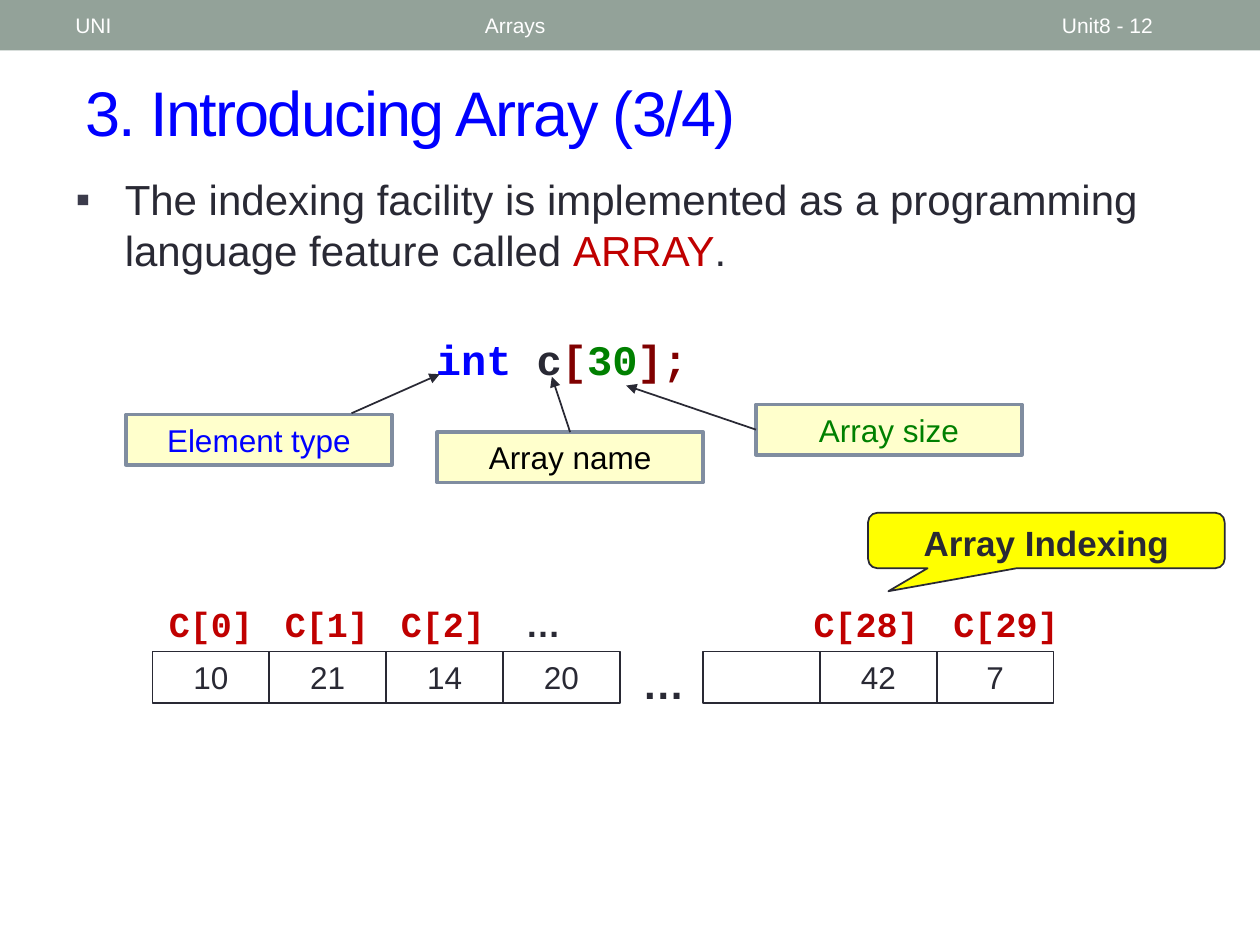
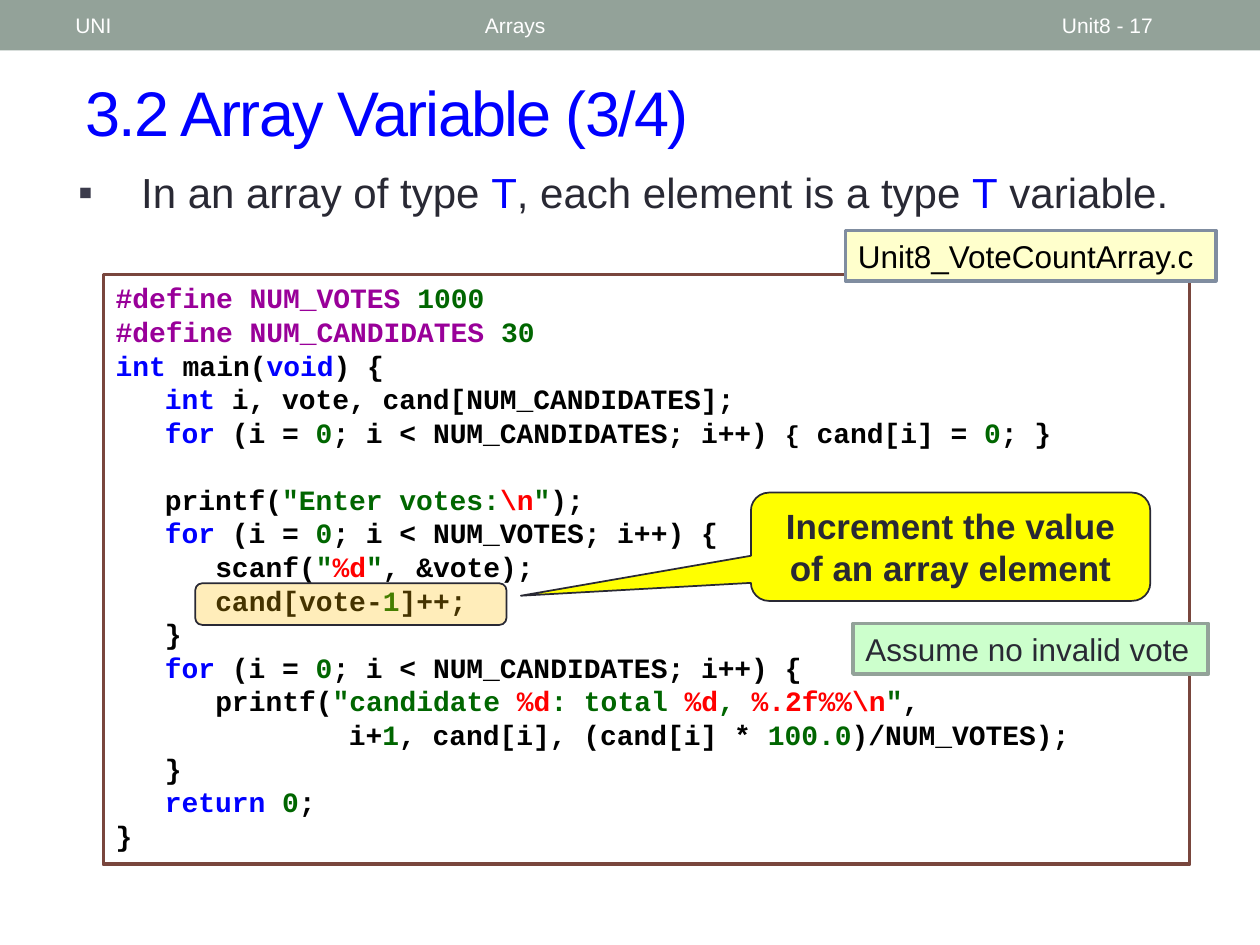
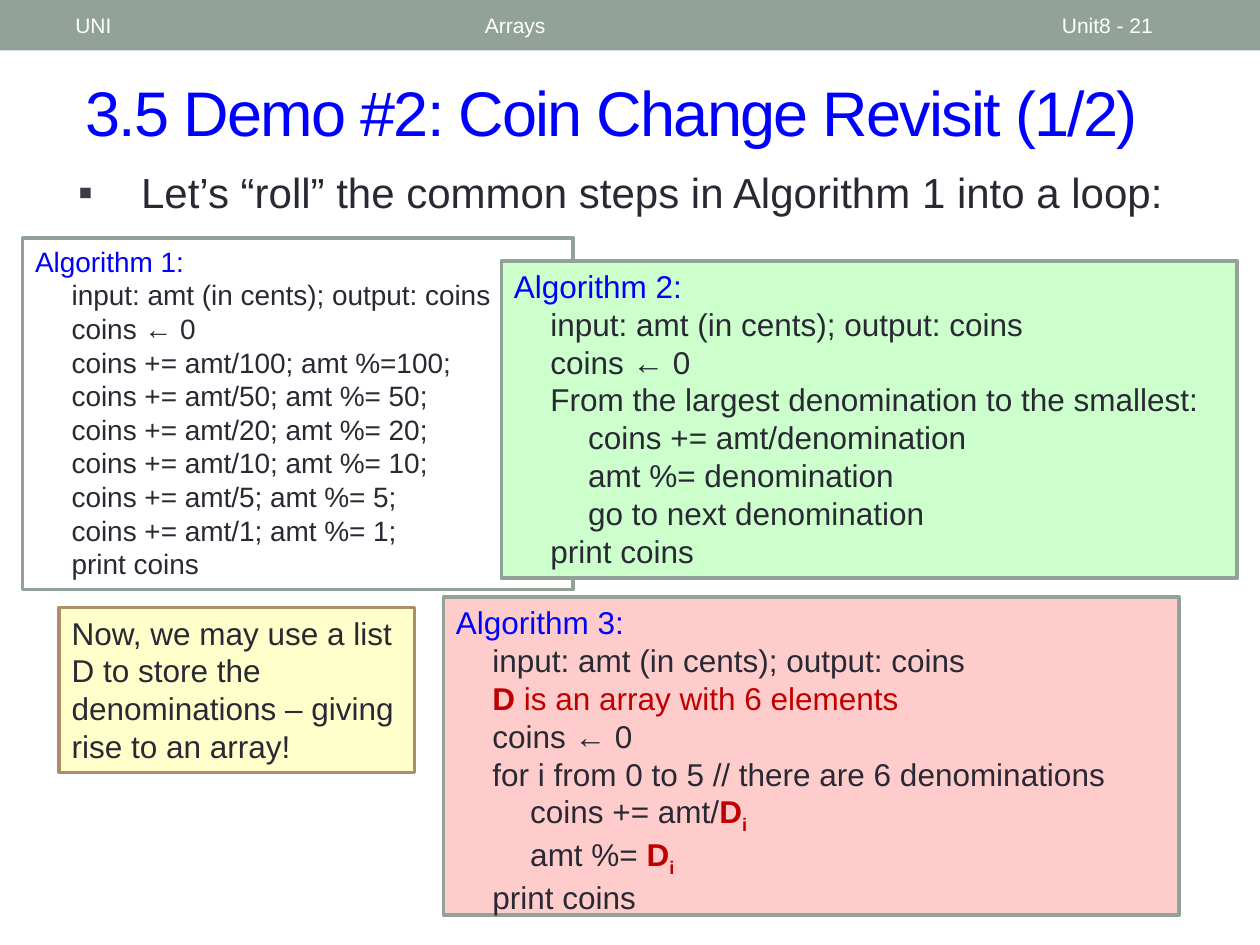
"""Build three lecture slides on arrays: declaration, array variables and coin change."""
import dataclasses

import lxml.etree
import pptx
import pptx.dml.color
import pptx.enum.shapes
import pptx.enum.text
import pptx.oxml.ns
import pptx.util


@dataclasses.dataclass(frozen=True)
class Theme:
    sans: str = "Arial"
    mono: str = "Courier New"
    ink: str = "292934"
    black: str = "000000"
    white: str = "FFFFFF"
    band: str = "93A299"
    bullet: str = "3B3B4B"
    blue: str = "0000FF"
    red: str = "C00000"
    maroon: str = "800000"
    green: str = "008000"
    literal: str = "006600"
    escape: str = "FF0000"
    macro: str = "990099"
    slate: str = "808DA0"
    brown: str = "79463D"
    tan: str = "AD8F67"
    cream: str = "FFFFCC"
    mint: str = "CCFFCC"
    rose: str = "FFCCCC"
    yellow: str = "FFFF00"
    amber: str = "FFC000"
    title_size: int = 36
    body_size: int = 24
    callout_size: int = 20
    label_size: int = 18
    code_size: int = 16
    brace_size: int = 14
    header_size: int = 12
    thick: float = 2.08
    thin: float = 1


theme = Theme()
Shape = pptx.enum.shapes.MSO_SHAPE
Align = pptx.enum.text.PP_ALIGN
Anchor = pptx.enum.text.MSO_ANCHOR
rgb = pptx.dml.color.RGBColor.from_string
qn = pptx.oxml.ns.qn

deck = pptx.Presentation()
deck.slide_width = pptx.util.Inches(10)
deck.slide_height = pptx.util.Inches(7.5)
column = deck.slide_width / 100
row = deck.slide_height / 75


def write(box, lines, size, color=theme.ink, font=theme.sans, bold=False,
          align=Align.LEFT, anchor=Anchor.TOP, steps=(0,)):
    """Fill a box with lines, each an indent level followed by its runs."""
    frame = box.text_frame
    frame.word_wrap = True
    frame.auto_size = pptx.enum.text.MSO_AUTO_SIZE.NONE
    frame.vertical_anchor = anchor
    for number, (level, *runs) in enumerate(lines):
        para = frame.add_paragraph() if number else frame.paragraphs[0]
        para.alignment = align
        if steps[level]:
            para._p.get_or_add_pPr().set("marL", str(round(steps[level] * column)))
        for run in runs:
            text, tint, style = (run, color, {}) if isinstance(run, str) else (*run, {})[:3]
            span = para.add_run()
            span.text = text
            span.font.name = font
            span.font.size = pptx.util.Pt(style.get("size", size))
            span.font.bold = style.get("bold", bold)
            span.font.color.rgb = rgb(tint)
            if "baseline" in style:
                span.font._element.set("baseline", style["baseline"])


def add_box(page, at, kind=None, fill=None, line=theme.ink, weight=theme.thin, adjust=()):
    """Add a text box, or a preset shape if a kind is given, at grid columns and rows."""
    left, top, width, height = at
    place = [round(n) for n in (left * column, top * row, width * column, height * row)]
    if kind is None:
        return page.shapes.add_textbox(*place)
    box = page.shapes.add_shape(kind, *place)
    box.shadow.inherit = False
    for index, value in enumerate(adjust):
        box.adjustments[index] = value
    if fill:
        box.fill.solid()
        box.fill.fore_color.rgb = rgb(fill)
    else:
        box.fill.background()
    if line:
        box.line.color.rgb = rgb(line)
        box.line.width = pptx.util.Pt(weight)
    else:
        box.line.fill.background()
    return box


outline = [
    ("3. Introducing Array (3/4)", "12", (5, 13.3, 87.6, 11.1), 3.9,
     ["The indexing facility is implemented as a programming language feature called ",
      ("ARRAY", theme.red), "."]),
    ("3.2 Array Variable (3/4)", "17", (5.2, 12.7, 91.4, 7.3), 5,
     ["In an array of type ", ("T", theme.blue), ", each element is a type ",
      ("T", theme.blue), " variable."]),
    ("3.5 Demo #2: Coin Change Revisit (1/2)", "21", (5.2, 12.7, 91.4, 5.7), 5,
     ["Let’s “roll” the common steps in Algorithm 1 into a loop:"]),
]
pages = []
for heading, number, body_at, hang, runs in outline:
    page = deck.slides.add_slide(deck.slide_layouts[1])
    pages.append(page)
    title, body = page.placeholders
    for holder, (left, top, width, height) in ((title, (5.8, 4.2, 91.7, 9.2)), (body, body_at)):
        holder.left, holder.width = round(left * column), round(width * column)
        holder.top, holder.height = round(top * row), round(height * row)
    write(title, [(0, heading)], theme.title_size, theme.blue, anchor=Anchor.MIDDLE)
    title.text_frame.paragraphs[0].runs[0].font._element.set("spc", "-100")

    write(body, [(0, *runs)], theme.body_size, steps=(hang,))
    para = body.text_frame.paragraphs[0]
    para.space_before = pptx.util.Pt(6)
    layout = para._p.get_or_add_pPr()
    layout.set("indent", str(round(-hang * column)))
    bullet_color = lxml.etree.SubElement(layout, qn("a:buClr"))
    lxml.etree.SubElement(bullet_color, qn("a:srgbClr"), val=theme.bullet)
    lxml.etree.SubElement(layout, qn("a:buFont"), typeface=theme.sans)
    lxml.etree.SubElement(layout, qn("a:buChar"), char="▪")

    for text, left, width in (("Arrays", 37.5, 45), ("Unit8 - " + number, 83.3, 11.7),
                              ("UNI", 5, 31.7)):
        header = add_box(page, (left, 0.2, width, 3.6))
        write(header, [(0, text)], theme.header_size, theme.white, anchor=Anchor.MIDDLE)

declaration, variable, coins = pages
band = add_box(declaration, (0, 0, 100, 4), Shape.RECTANGLE, theme.band, None)
deck.slide_master.shapes.element.insert(2, band.element)

statement = add_box(declaration, (31.6, 26, 26, 5.1))
write(statement, [(0, ("int ", theme.blue), "c", ("[", theme.maroon), ("30", theme.green),
                   ("];", theme.maroon))],
      theme.body_size, font=theme.mono, bold=True, align=Align.CENTER)

for text, color, left, top, start, end, site in (
        ("Array name", theme.black, 34.7, 34.3, (45.2, 34.3), (43.8, 29.9), 0),
        ("Element type", theme.blue, 10, 32.9, (27.9, 32.8), (34.9, 29.7), None),
        ("Array size", theme.green, 60, 32.1, (60, 34.1), (49.7, 30.6), 1)):
    label = add_box(declaration, (left, top, 21.1, 4), Shape.RECTANGLE, theme.cream,
                    theme.slate, theme.thick)
    write(label, [(0, text)], theme.label_size, color, align=Align.CENTER)
    arrow = declaration.shapes.add_connector(
        pptx.enum.shapes.MSO_CONNECTOR.STRAIGHT, round(start[0] * column),
        round(start[1] * row), round(end[0] * column), round(end[1] * row))
    if site is not None:
        arrow.begin_connect(label, site)
    arrow.line.color.rgb = rgb(theme.ink)
    arrow.line.width = pptx.util.Pt(theme.thin)
    lxml.etree.SubElement(arrow.line._get_or_add_ln(), qn("a:tailEnd"), type="triangle")
    lxml.etree.SubElement(arrow._element.spPr, qn("a:effectLst"))

cell_width = 9.27
for first, values in ((12.1, ("10", "21", "14", "20")), (55.8, ("", "42", "7"))):
    for index, value in enumerate(values):
        cell = add_box(declaration, (first + index * cell_width, 51.7, cell_width, 4.1),
                       Shape.RECTANGLE)
        if value:
            write(cell, [(0, value)], theme.label_size, align=Align.CENTER)
for text, left, width in (("C[0]", 12.1, 9.3), ("C[1]", 21.3, 9.3), ("C[2]", 30.5, 9.3),
                          ("C[28]", 63.2, 11.1), ("C[29]", 74.3, 11.1)):
    index_label = add_box(declaration, (left, 47.3, width, 4.4))
    write(index_label, [(0, text)], theme.callout_size, theme.red, theme.mono, True, Align.CENTER)
for at, size in (((40.4, 47.3, 5.4, 4.4), theme.callout_size),
                 ((49.7, 51.7, 5.9, 3.9), theme.body_size)):
    write(add_box(declaration, at), [(0, "…")], size, bold=True, align=Align.CENTER)

code = add_box(variable, (8.2, 21.8, 86.2, 46.8), Shape.RECTANGLE, theme.white,
               theme.brown, theme.thick)
zero = ("0", theme.literal)
quote = ('"', theme.literal)
loop = (1, ("for", theme.blue), " (i = ", zero)
write(code, [
    (0, ("#define NUM_VOTES ", theme.macro), ("1000", theme.literal)),
    (0, ("#define NUM_CANDIDATES ", theme.macro), ("30", theme.literal)),
    (0, ("int", theme.blue), " main(", ("void", theme.blue), ") {"),
    (1, ("int ", theme.blue), "i, vote, cand[NUM_CANDIDATES];"),
    (*loop, "; i < NUM_CANDIDATES; i++) ", ("{", theme.black, {"size": theme.brace_size}),
     " cand[i] = ", zero, "; }"),
    (1, "printf(", ('"Enter votes:', theme.literal), ("\\n", theme.escape), quote, ");"),
    (*loop, "; i < NUM_VOTES; i++) {"),
    (2, "scanf(", quote, ("%d", theme.escape), quote, ", &vote);"),
    (2, "cand[vote-", ("1", theme.literal), "]++;"),
    (1, "}"),
    (*loop, "; i < NUM_CANDIDATES; i++) {"),
    (2, "printf(", ('"candidate ', theme.literal), ("%d", theme.escape),
     (": total ", theme.literal), ("%d", theme.escape), (", ", theme.literal),
     ("%.2f%%\\n", theme.escape), quote, ","),
    (3, "i+", ("1", theme.literal), ", cand[i], (cand[i] * ", ("100.0", theme.literal),
     ")/NUM_VOTES);"),
    (1, "}"),
    (1, ("return ", theme.blue), zero, ";"),
    (0, "}"),
], theme.code_size, theme.black, theme.mono, True, steps=(0, 3.9, 7.9, 18.5))
code.text_frame.paragraphs[5].space_before = pptx.util.Pt(1.2 * theme.code_size)

file_label = add_box(variable, (67.1, 18.3, 29.4, 4), Shape.RECTANGLE, theme.cream,
                     theme.slate, theme.thick)
write(file_label, [(0, "Unit8_VoteCountArray.c")], theme.label_size, theme.black)

for page, at, tip, text in (
        (declaration, (68.9, 40.7, 28.3, 4.4), (-0.443, 0.915), "Array Indexing"),
        (variable, (59.6, 39.1, 31.7, 8.6), (-1.076, 0.452),
         "Increment the value of an array element")):
    callout = add_box(page, at, Shape.ROUNDED_RECTANGULAR_CALLOUT, theme.yellow, adjust=tip)
    write(callout, [(0, text)], theme.callout_size, bold=True, align=Align.CENTER)

highlight = add_box(variable, (15.5, 46.3, 24.7, 3.3), Shape.ROUNDED_RECTANGLE, theme.amber)
tint = highlight._element.spPr.find(qn("a:solidFill")).find(qn("a:srgbClr"))
lxml.etree.SubElement(tint, qn("a:alpha"), val="27000")

assumption = add_box(variable, (67.7, 49.5, 28.2, 4), Shape.RECTANGLE, theme.mint,
                     theme.band, theme.thick)
write(assumption, [(0, "Assume no invalid vote")], theme.label_size)

signature = (1, "input: amt (in cents); output: coins")
clear = (1, "coins ← 0")
result = (1, "print coins")
element = (("D", theme.red, {"bold": True}),
           ("i", theme.red, {"bold": True, "baseline": "-25000"}))
divisions = [(1, f"coins += amt/{coin}; amt %={gap}{coin};")
             for coin, gap in ((100, ""), (50, " "), (20, " "), (10, " "), (5, " "), (1, " "))]
algorithms = [
    ((1.8, 18.9, 43.7, 27.9), theme.white, theme.code_size,
     [signature, clear, *divisions, result]),
    ((39.8, 20.7, 58.4, 25.2), theme.mint, theme.label_size,
     [signature, clear, (1, "From the largest denomination to the smallest:"),
      (2, "coins += amt/denomination"), (2, "amt %= denomination"),
      (2, "go to next denomination"), result]),
    ((35.2, 47.4, 58.4, 25.2), theme.rose, theme.label_size,
     [signature, (1, element[0], (" is an array with 6 elements", theme.red)), clear,
      (1, "for i from 0 to 5 // there are 6 denominations"),
      (2, "coins += amt/", *element), (2, "amt %= ", *element), result]),
]
for number, (at, fill, size, steps) in enumerate(algorithms, 1):
    panel = add_box(coins, at, Shape.RECTANGLE, fill, theme.band, theme.thick)
    write(panel, [(0, (f"Algorithm {number}:", theme.blue)), *steps], size, steps=(0, 2.9, 5.9))

remark = add_box(coins, (4.7, 48.2, 28.2, 13.1), Shape.RECTANGLE, theme.cream,
                 theme.tan, theme.thick)
write(remark, [(0, "Now, we may use a list D to store the denominations – giving rise to an array!")],
      theme.label_size)

deck.save("out.pptx")
